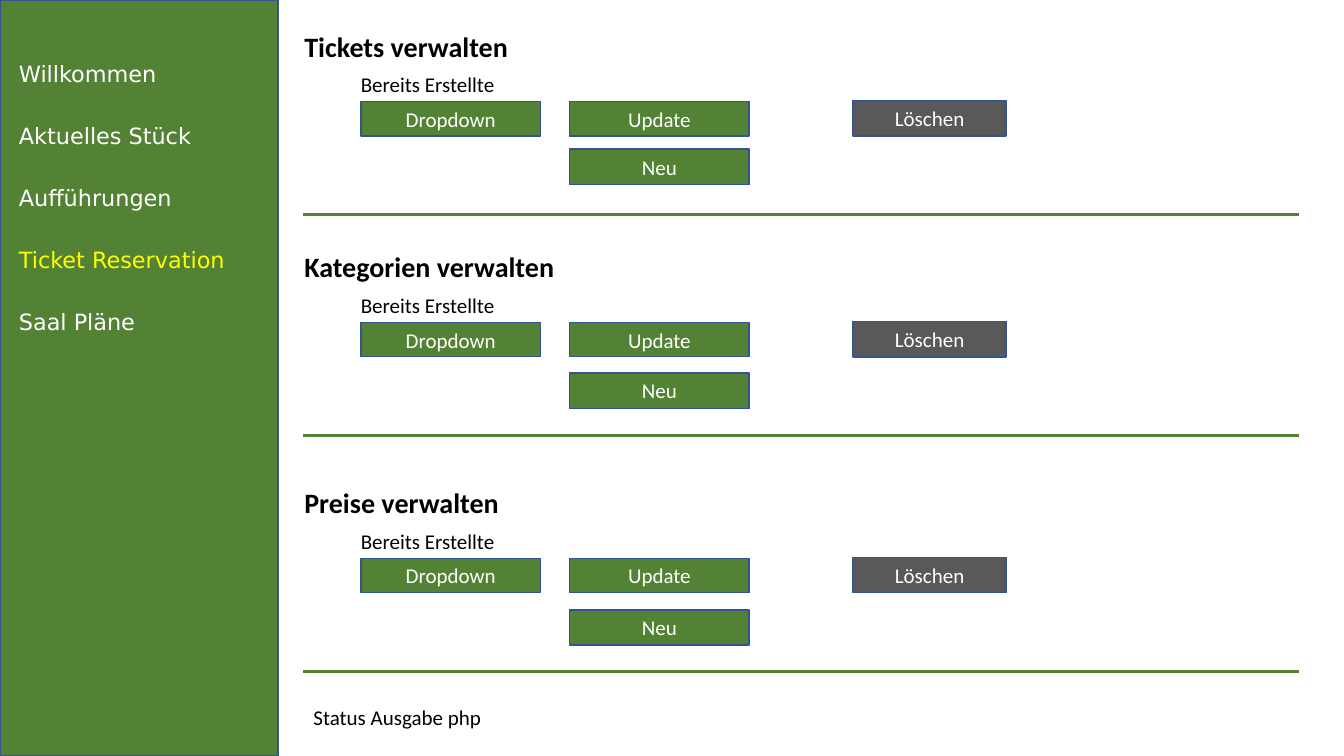
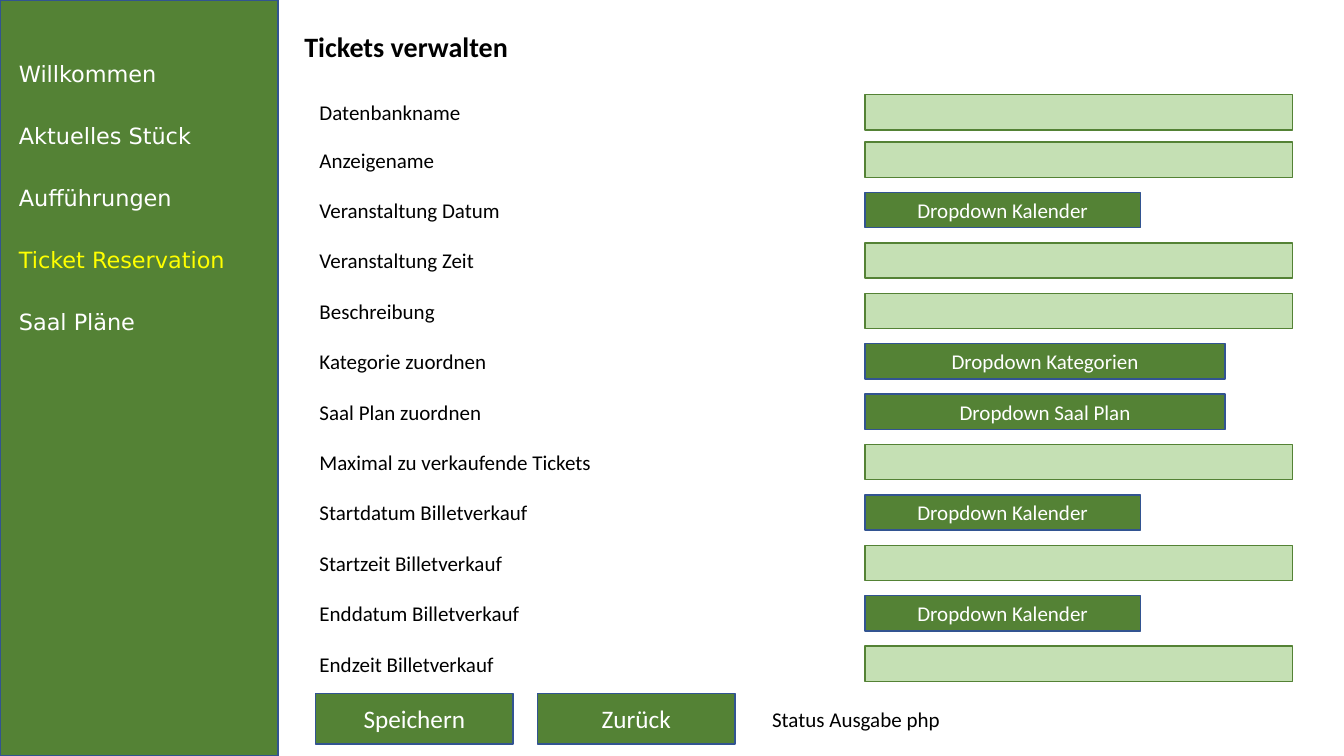
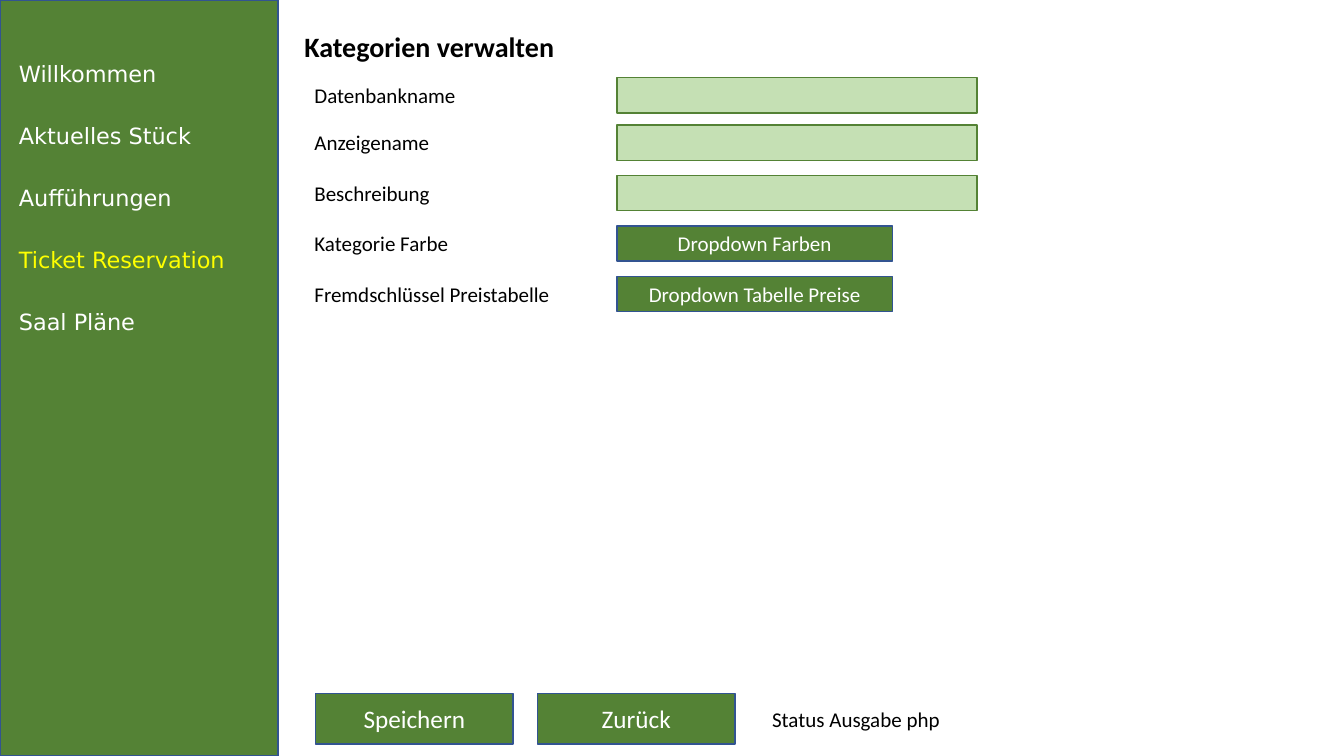
from lxml.etree import SubElement
from pptx import Presentation
from pptx.dml.color import RGBColor
from pptx.enum.shapes import MSO_CONNECTOR, MSO_SHAPE
from pptx.enum.text import MSO_ANCHOR, PP_ALIGN
from pptx.oxml.ns import qn
from pptx.util import Inches, Pt

# Content
MENU = ["Willkommen", "Aktuelles Stück", "Aufführungen", "Ticket Reservation", "Saal Pläne"]
ACTIVE_ENTRY = "Ticket Reservation"
STATUS = "Status Ausgabe php"

# Title, top of the section, top of its "Neu" button
SECTIONS = [
    ("Tickets verwalten", 0.24, 1.48),
    ("Kategorien verwalten", 2.43, 3.70),
    ("Preise verwalten", 4.77, 6.05),
]

# Field label, dropdown text (None for an input field), field width
FORMS = [
    {
        "title": "Tickets verwalten",
        "top": 0.94, "label_left": 3.07, "label_width": 4.95, "field_left": 8.58,
        "fields": [
            ("Datenbankname", None, 4.24),
            ("Anzeigename", None, 4.24),
            ("Veranstaltung Datum", "Dropdown Kalender", 2.73),
            ("Veranstaltung Zeit", None, 4.24),
            ("Beschreibung", None, 4.24),
            ("Kategorie zuordnen", "Dropdown Kategorien", 3.57),
            ("Saal Plan zuordnen", "Dropdown Saal Plan", 3.57),
            ("Maximal zu verkaufende Tickets", None, 4.24),
            ("Startdatum Billetverkauf", "Dropdown Kalender", 2.73),
            ("Startzeit Billetverkauf", None, 4.24),
            ("Enddatum Billetverkauf", "Dropdown Kalender", 2.73),
            ("Endzeit Billetverkauf", None, 4.24),
        ],
    },
    {
        "title": "Kategorien verwalten",
        "top": 0.77, "label_left": 3.02, "label_width": 2.73, "field_left": 6.12,
        "fields": [
            ("Datenbankname", None, 3.57),
            ("Anzeigename", None, 3.57),
            ("Beschreibung", None, 3.57),
            ("Kategorie Farbe", "Dropdown Farben", 2.73),
            ("Fremdschlüssel Preistabelle", "Dropdown Tabelle Preise", 2.73),
        ],
    },
]

# Shared style
COLORS = {
    "green": "548235", "light": "C5E0B4", "grey": "595959", "outline": "325491",
    "white": "FFFFFF", "black": "000000", "active": "FFFF00",
}
BODY_FONT, MENU_FONT = "Calibri", "DejaVu Sans"
TITLE_TOP = 0.24
FIRST_GAP, ROW_GAP, ROW_HEIGHT = 0.47, 0.5, 0.35


def color(name):
    return RGBColor.from_string(COLORS[name])


def style(paragraph, size, color_name, font=BODY_FONT, bold=False):
    for run in paragraph.runs:
        run.font.name, run.font.size, run.font.bold = font, Pt(size), bold
        run.font.color.rgb = color(color_name)


def add_box(slide, left, top, width, height, fill="green", outline="outline", text=None, size=15):
    box = slide.shapes.add_shape(
        MSO_SHAPE.RECTANGLE, Inches(left), Inches(top), Inches(width), Inches(height))
    box.shadow.inherit = False
    box.fill.solid()
    box.fill.fore_color.rgb = color(fill)
    box.line.color.rgb = color(outline)
    box.line.width = Pt(1)
    if text:
        frame = box.text_frame
        frame.text = text
        frame.vertical_anchor = MSO_ANCHOR.MIDDLE
        frame.paragraphs[0].alignment = PP_ALIGN.CENTER
        style(frame.paragraphs[0], size, "white")


def add_text(slide, left, top, width, height, text, size=15, bold=False, anchor=MSO_ANCHOR.TOP):
    frame = slide.shapes.add_textbox(
        Inches(left), Inches(top), Inches(width), Inches(height)).text_frame
    frame.word_wrap = True
    frame.vertical_anchor = anchor
    frame.text = text
    for paragraph in frame.paragraphs:
        style(paragraph, size, "black", bold=bold)
    return frame


def add_title(slide, text, left=2.92, top=TITLE_TOP):
    add_text(slide, left, top, 2.73, 0.44, text, size=20, bold=True)


def add_status(slide, left, top, width):
    add_text(slide, left, top, width, 0.25, STATUS, anchor=MSO_ANCHOR.MIDDLE)


def add_divider(slide, top):
    divider = slide.shapes.add_connector(
        MSO_CONNECTOR.STRAIGHT, Inches(3.01), Inches(top), Inches(12.88), Inches(top))
    divider.line.color.rgb = color("green")
    divider.line.width = Pt(2.25)
    SubElement(divider._element.spPr, qn("a:effectLst"))


def add_page(prs):
    """New slide with the green sidebar and its menu."""
    slide = prs.slides.add_slide(prs.slide_layouts[6])
    add_box(slide, 0, 0, 2.76, 7.5)
    menu = add_text(slide, 0.09, 0.55, 2.73, 3.11, "\n".join(MENU))
    for entry in menu.paragraphs:
        entry.space_after = Pt(25.1)
        style(entry, 16, "active" if entry.text == ACTIVE_ENTRY else "white", MENU_FONT)
    return slide


def build_overview(prs):
    slide = add_page(prs)
    for title, top, new_top in SECTIONS:
        add_title(slide, title, top=top)
        add_text(slide, 3.48, top + 0.42, 2.02, 0.35, "Bereits Erstellte")
        add_box(slide, 3.58, top + 0.77, 1.78, 0.34, text="Dropdown")
        add_box(slide, 5.65, top + 0.77, 1.78, 0.34, text="Update")
        add_box(slide, 5.65, new_top, 1.78, 0.35, text="Neu")
        add_box(slide, 8.46, top + 0.76, 1.52, 0.35, fill="grey", text="Löschen")
        add_divider(slide, top + 1.89)
    add_status(slide, 3.01, 6.99, 2.39)


def build_form(prs, form):
    slide = add_page(prs)
    add_title(slide, form["title"])
    left = form["field_left"]
    for row, (label, dropdown, width) in enumerate(form["fields"]):
        top = form["top"] + (FIRST_GAP + (row - 1) * ROW_GAP if row else 0)
        add_text(slide, form["label_left"], top, form["label_width"], ROW_HEIGHT, label)
        if dropdown:
            add_box(slide, left, top, width, ROW_HEIGHT, text=dropdown)
        else:
            add_box(slide, left, top, width, ROW_HEIGHT, fill="light", outline="green")
    # Footer buttons and status
    for column, action in enumerate(["Speichern", "Zurück"]):
        add_box(slide, 3.13 + column * 2.2, 6.88, 1.96, 0.5, text=action, size=18)
    add_status(slide, 7.56, 7.01, 5.26)


def main():
    prs = Presentation()
    prs.slide_width, prs.slide_height = Inches(13.33), Inches(7.5)
    build_overview(prs)
    for form in FORMS:
        build_form(prs, form)
    prs.save("out.pptx")


if __name__ == "__main__":
    main()
